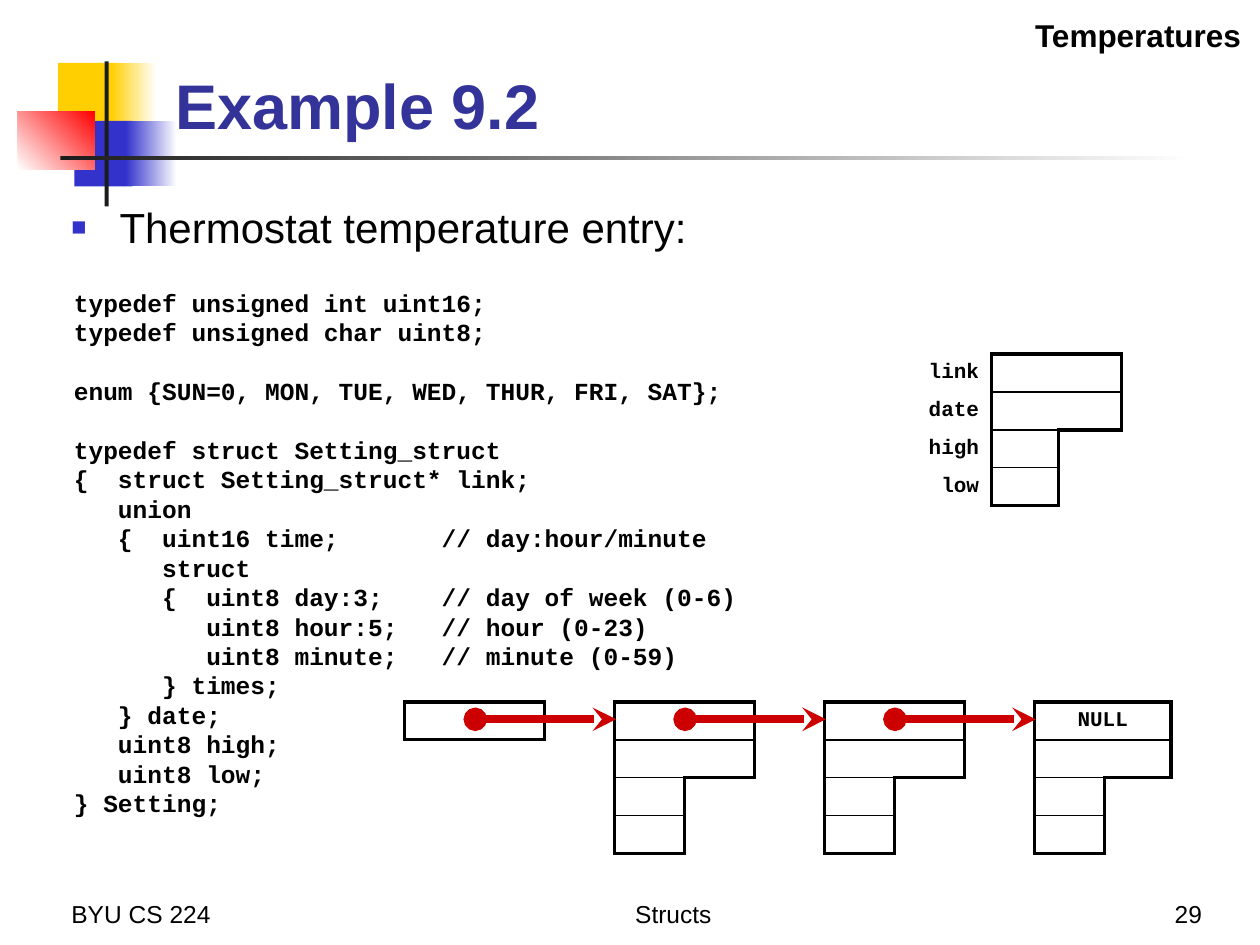
from collections import defaultdict

from lxml.etree import SubElement
from pptx import Presentation
from pptx.dml.color import RGBColor
from pptx.enum.shapes import MSO_CONNECTOR as Connector, MSO_SHAPE as Shape
from pptx.enum.text import MSO_ANCHOR as Anchor, MSO_AUTO_SIZE as AutoSize, PP_ALIGN as Align
from pptx.oxml.ns import qn
from pptx.util import Cm, Pt

COLORS = {
    "black": "000000", "white": "FFFFFF", "title": "333399", "blue": "3333CC",
    "yellow": "FFCF01", "red": "FF0000", "charcoal": "1C1C1C", "arrow": "CC0000",
}
CODE_FONT = "Courier New"
NO_GRID_STYLE = "{2D5ABB26-0587-4C30-8999-92F81FD0307C}"
THICK, THIN = 2.25, 1
ROW_HEIGHT = 0.76
CODE_LINE = 16.8
CODE = """typedef unsigned int uint16;
typedef unsigned char uint8;

enum {SUN=0, MON, TUE, WED, THUR, FRI, SAT};

typedef struct Setting_struct
{  struct Setting_struct* link;
   union
   {  uint16 time;       // day:hour/minute
      struct
      {  uint8 day:3;    // day of week (0-6)
         uint8 hour:5;   // hour (0-23)
         uint8 minute;   // minute (0-59)
      } times;
   } date;
   uint8 high;
   uint8 low;
} Setting;"""


def rgb(name):
    return RGBColor.from_string(COLORS[name])


def write(paragraph, text, size=14, color="black", font="Arial", bold=False, align=Align.LEFT):
    paragraph.alignment = align
    run = paragraph.add_run()
    run.text = text
    run.font.size = Pt(size)
    run.font.name = font
    run.font.bold = bold
    run.font.color.rgb = rgb(color)


def add_box(slide, left, top, width, height, anchor=Anchor.TOP):
    frame = slide.shapes.add_textbox(Cm(left), Cm(top), Cm(width), Cm(height)).text_frame
    frame.word_wrap = True
    frame.vertical_anchor = anchor
    return frame


def add_block(slide, left, top, width, height, start, end=None, angle=0):
    shape = slide.shapes.add_shape(Shape.RECTANGLE, Cm(left), Cm(top), Cm(width), Cm(height))
    shape.shadow.inherit = False
    shape.line.fill.background()
    if end is None:
        shape.fill.solid()
        shape.fill.fore_color.rgb = rgb(start)
        return
    shape.fill.gradient()
    shape.fill.gradient_angle = angle
    for stop, color in zip(shape.fill.gradient_stops, (start, end)):
        stop.color.rgb = rgb(color)


def add_decoration(slide):
    add_block(slide, 1.17, 1.27, 1.22, 1.32, "yellow")
    add_block(slide, 2.24, 1.27, 0.91, 1.32, "yellow", "white")
    add_block(slide, 1.5, 2.44, 1.17, 1.32, "blue")
    add_block(slide, 2.54, 2.44, 1.02, 1.32, "blue", "white")
    add_block(slide, 0.36, 2.24, 1.55, 1.17, "white", "red", 45)
    add_block(slide, 2.11, 1.24, 0.08, 2.92, "charcoal")
    add_block(slide, 1.22, 3.15, 22.86, 0.08, "charcoal", "white")


def add_title(slide, text):
    title = slide.shapes.title
    title.left, title.top, title.width, title.height = Cm(3.28), Cm(0.58), Cm(21.64), Cm(2.41)
    frame = title.text_frame
    frame.auto_size = AutoSize.NONE
    frame.vertical_anchor = Anchor.BOTTOM
    write(frame.paragraphs[0], text, size=36, color="title", bold=True)


def add_bullet(slide, text):
    paragraph = add_box(slide, 1.19, 3.94, 23.16, 2.01).paragraphs[0]
    properties = paragraph._p.get_or_add_pPr()
    properties.set("marL", str(Cm(0.97)))
    properties.set("indent", str(-Cm(0.97)))
    color = SubElement(properties, qn("a:buClr"))
    SubElement(color, qn("a:srgbClr"), val=COLORS["blue"])
    SubElement(properties, qn("a:buSzPct"), val="60000")
    SubElement(properties, qn("a:buFont"), typeface="Arial")
    SubElement(properties, qn("a:buChar"), char="■")
    write(paragraph, text, size=24)


def add_code(slide):
    frame = add_box(slide, 1.24, 5.68, 15.24, 11.02)
    paragraph = frame.paragraphs[0]
    for index, section in enumerate(CODE.split("\n\n")):
        for number, line in enumerate(section.split("\n")):
            if index or number:
                paragraph = frame.add_paragraph()
            paragraph.line_spacing = Pt(CODE_LINE)
            if index and number == 0:
                paragraph.space_before = Pt(CODE_LINE)
            write(paragraph, line, font=CODE_FONT, bold=True)


def add_grid(slide, left, top, widths):
    shape = slide.shapes.add_table(
        4, len(widths), Cm(left), Cm(top), Cm(sum(widths)), Cm(4 * ROW_HEIGHT))
    table = shape.table
    table.first_row = table.horz_banding = False
    shape.element.xpath(".//a:tableStyleId")[0].text = NO_GRID_STYLE
    for column, width in zip(table.columns, widths):
        column.width = Cm(width)
    for row in table.rows:
        row.height = Cm(ROW_HEIGHT)
    for cell in table.iter_cells():
        cell.fill.background()
        cell.margin_top = cell.margin_bottom = 0
        cell.vertical_anchor = Anchor.MIDDLE
    return table


def outline(borders, row, column, span, top, bottom):
    last = column + span - 1
    borders[row, column].update(L=THICK, R=THICK)
    borders[row, last]["R"] = THICK
    borders[row, column - 1]["R"] = THICK
    borders[row, last + 1]["L"] = THICK
    for part in range(column, last + 1):
        borders[row, part].update(T=top, B=bottom)
        borders[row - 1, part]["B"] = top
        borders[row + 1, part]["T"] = bottom


def add_node(table, borders, column):
    for row, span in enumerate((2, 2, 1, 1)):
        if span == 2:
            table.cell(row, column).merge(table.cell(row, column + 1))
        outline(borders, row, column, span, THIN if row else THICK, THICK if row == 3 else THIN)
    borders[1, column + 1]["B"] = THICK
    borders[2, column + 1]["T"] = THICK


def draw_borders(table, borders):
    for row in range(len(table.rows)):
        for column in range(len(table.columns)):
            properties = table.cell(row, column)._tc.get_or_add_tcPr()
            for index, side in enumerate("LRTB"):
                line = SubElement(properties, qn(f"a:ln{side}"))
                properties.insert(index, line)
                width = borders[row, column].get(side)
                if width is None:
                    SubElement(line, qn("a:noFill"))
                    continue
                line.set("w", str(Pt(width)))
                fill = SubElement(line, qn("a:solidFill"))
                SubElement(fill, qn("a:srgbClr"), val=COLORS["black"])


def add_record(slide):
    table = add_grid(slide, 16.81, 7.14, (3.18, 1.35, 1.27))
    borders = defaultdict(dict)
    add_node(table, borders, 1)
    draw_borders(table, borders)
    for row, label in enumerate(("link", "date", "high", "low")):
        write(table.cell(row, 0).text_frame.paragraphs[0], label, size=12,
              font=CODE_FONT, bold=True, align=Align.RIGHT)


def add_linked_list(slide):
    table = add_grid(slide, 8.16, 14.15, [1.41] * 10 + [1.35])
    borders = defaultdict(dict)
    table.cell(0, 0).merge(table.cell(0, 1))
    outline(borders, 0, 0, 2, THICK, THICK)
    for column in (3, 6, 9):
        add_node(table, borders, column)
    draw_borders(table, borders)
    write(table.cell(0, 9).text_frame.paragraphs[0], "NULL", size=12,
          font=CODE_FONT, bold=True, align=Align.CENTER)
    for index in range(3):
        add_arrow(slide, 9.58 + 4.23 * index, 14.5, 2.84)


def add_arrow(slide, left, top, length):
    arrow = slide.shapes.add_connector(
        Connector.STRAIGHT, Cm(left), Cm(top), Cm(left + length), Cm(top))
    arrow.line.width = Pt(4.5)
    arrow.line.color.rgb = rgb("arrow")
    line = arrow.line._get_or_add_ln()
    SubElement(line, qn("a:headEnd"), type="oval")
    SubElement(line, qn("a:tailEnd"), type="stealth")
    SubElement(arrow.element.spPr, qn("a:effectLst"))


def main():
    presentation = Presentation()
    presentation.slide_width, presentation.slide_height = Cm(25.4), Cm(19.05)
    slide = presentation.slides.add_slide(presentation.slide_layouts[5])
    add_decoration(slide)
    for text, left, width, align in (
        ("BYU CS 224", 1.19, 5.28, Align.LEFT),
        ("Structs", 7.06, 13.03, Align.CENTER),
        ("29", 19.2, 5.28, Align.RIGHT),
    ):
        frame = add_box(slide, left, 17.58, width, 1.27, Anchor.BOTTOM)
        write(frame.paragraphs[0], text, align=align)
    add_title(slide, "Example 9.2")
    add_bullet(slide, "Thermostat temperature entry:")
    header = add_box(slide, 15.06, 0.2, 10.21, 1.02)
    write(header.paragraphs[0], "Temperatures", size=18, bold=True, align=Align.RIGHT)
    add_record(slide)
    add_code(slide)
    add_linked_list(slide)
    presentation.save("out.pptx")


if __name__ == "__main__":
    main()
